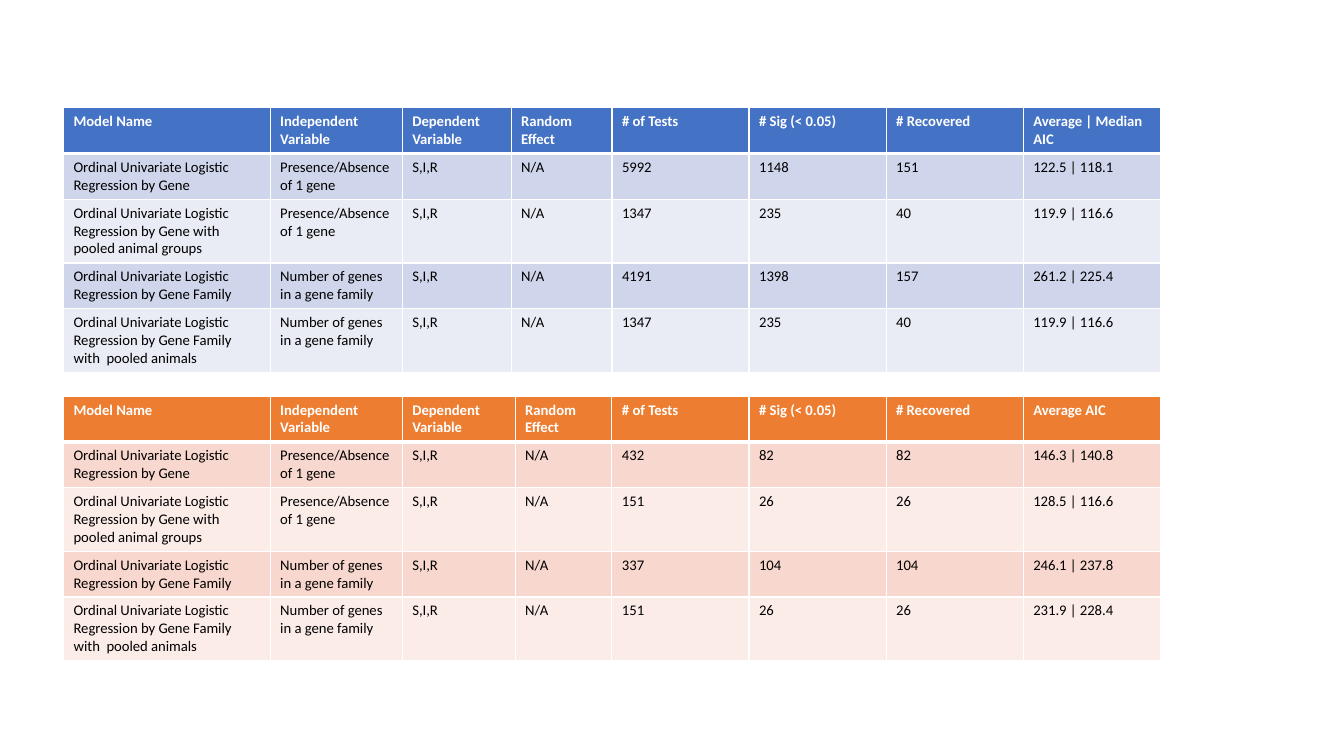
from lxml import etree
from pptx import Presentation
from pptx.dml.color import RGBColor
from pptx.oxml.ns import qn
from pptx.util import Inches, Pt

WHITE = RGBColor(0xFF, 0xFF, 0xFF)
BLACK = RGBColor(0x00, 0x00, 0x00)
# Header, odd row, even row
BLUES = (RGBColor(0x44, 0x72, 0xC4), RGBColor(0xCF, 0xD5, 0xEA),
         RGBColor(0xE9, 0xEB, 0xF5))
ORANGES = (RGBColor(0xED, 0x7D, 0x31), RGBColor(0xF8, 0xD7, 0xCE),
           RGBColor(0xFC, 0xEC, 0xE8))

FONT, SIZE = "Calibri", Pt(10.5)
LEFT, WIDTH, HEIGHT, ROW_HEIGHT = 0.63, 10.88, 2.6, 0.41
RESULT_WIDTHS = [1.36] * 4

HEADERS = ["Model Name", "Independent Variable", "Dependent Variable",
           "Random Effect", "# of Tests", "# Sig (< 0.05)", "# Recovered"]
MODELS = [
    ("Ordinal Univariate Logistic Regression by Gene",
     "Presence/Absence of 1 gene"),
    ("Ordinal Univariate Logistic Regression by Gene with pooled animal groups",
     "Presence/Absence of 1 gene"),
    ("Ordinal Univariate Logistic Regression by Gene Family",
     "Number of genes in a gene family"),
    ("Ordinal Univariate Logistic Regression by Gene Family with  pooled animals",
     "Number of genes in a gene family"),
]
# Tests, significant, recovered, AIC
ALL_RESULTS = [
    ("5992", "1148", "151", "122.5 | 118.1"),
    ("1347", "235", "40", "119.9 | 116.6"),
    ("4191", "1398", "157", "261.2 | 225.4"),
    ("1347", "235", "40", "119.9 | 116.6"),
]
RECOVERED_RESULTS = [
    ("432", "82", "82", "146.3 | 140.8"),
    ("151", "26", "26", "128.5 | 116.6"),
    ("337", "104", "104", "246.1 | 237.8"),
    ("151", "26", "26", "231.9 | 228.4"),
]


def set_borders(cell, bottom):
    """White borders; the bottom one has its own width in points."""
    tcPr = cell._tc.get_or_add_tcPr()
    for side, width in (("L", 1), ("R", 1), ("T", 1), ("B", bottom)):
        ln = etree.SubElement(tcPr, qn(f"a:ln{side}"), w=str(Pt(width)))
        fill = etree.SubElement(ln, qn("a:solidFill"))
        etree.SubElement(fill, qn("a:srgbClr"), val=str(WHITE))


def format_cell(cell, text, fill, is_header):
    set_borders(cell, 3 if is_header else 1)
    cell.fill.solid()
    cell.fill.fore_color.rgb = fill
    p = cell.text_frame.paragraphs[0]
    p.text = text
    font = p.runs[0].font
    font.name, font.size, font.bold = FONT, SIZE, is_header
    font.color.rgb = WHITE if is_header else BLACK


def add_model_table(s, box, setup_widths, aic_header, results, colors):
    rows = [HEADERS + [aic_header]]
    rows += [[*model, "S,I,R", "N/A", *result]
             for model, result in zip(MODELS, results)]
    frame = s.shapes.add_table(len(rows), len(rows[0]), *map(Inches, box))
    table = frame.table
    for column, width in zip(table.columns, setup_widths + RESULT_WIDTHS):
        column.width = Inches(width)
    for i, texts in enumerate(rows):
        table.rows[i].height = Inches(ROW_HEIGHT)
        fill = colors[0] if i == 0 else colors[2 - i % 2]
        for j, text in enumerate(texts):
            format_cell(table.cell(i, j), text, fill, i == 0)
    frame.height = Inches(box[3])


def main():
    prs = Presentation()
    prs.slide_width, prs.slide_height = Inches(13.33), Inches(7.5)
    s = prs.slides.add_slide(prs.slide_layouts[6])

    # Recovered genes below, all genes above
    add_model_table(s, (LEFT, 3.93, WIDTH, HEIGHT), [2.05, 1.31, 1.12, 0.96],
                    "Average AIC", RECOVERED_RESULTS, ORANGES)
    add_model_table(s, (LEFT, 1.07, WIDTH, HEIGHT), [2.05, 1.31, 1.08, 1.0],
                    "Average | Median AIC", ALL_RESULTS, BLUES)
    prs.save("out.pptx")


if __name__ == "__main__":
    main()
